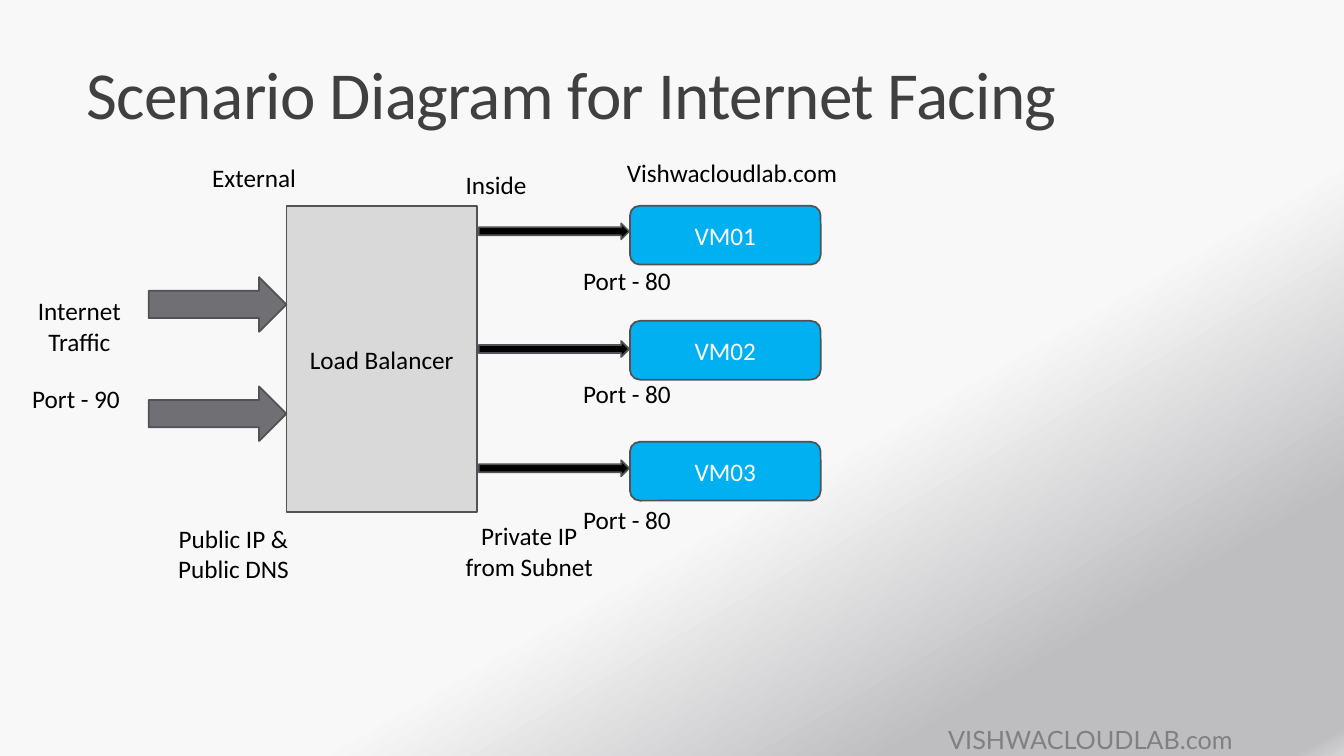
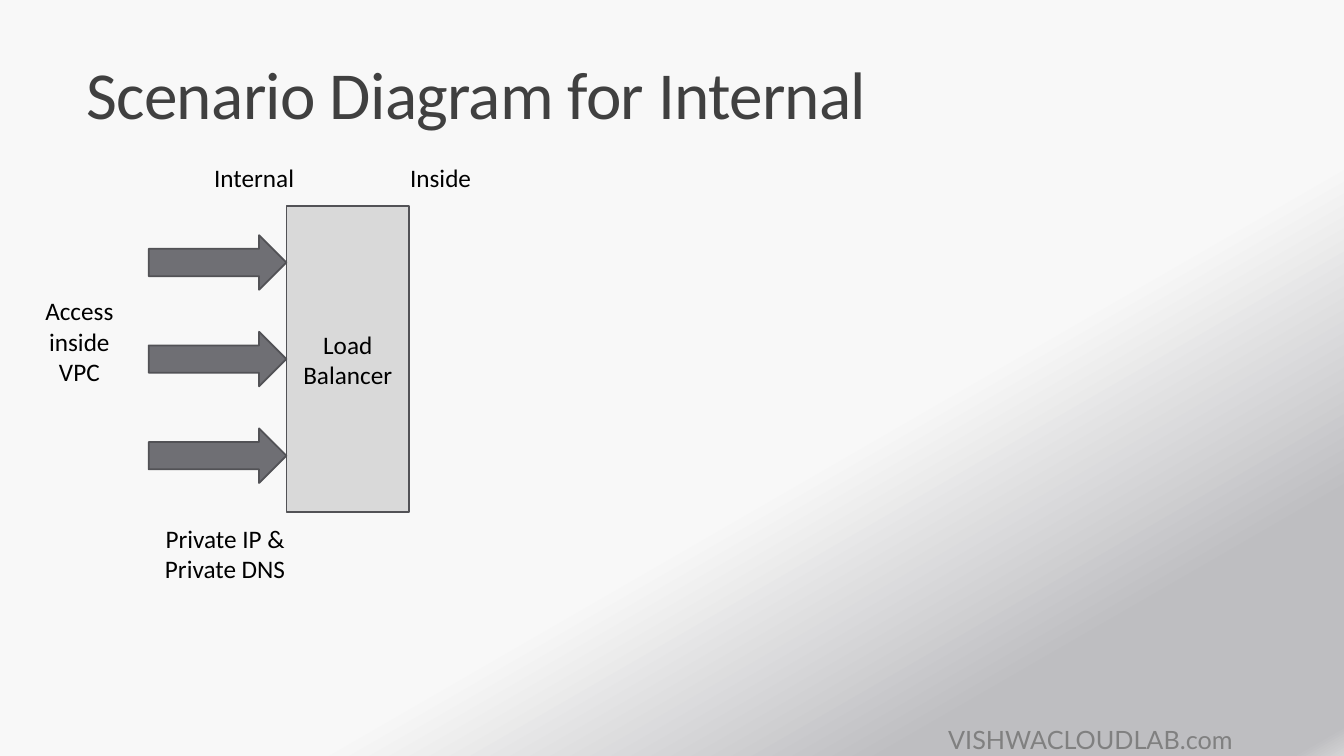
"""Build two load balancer scenario slides on a grid of 160 columns and 90 rows."""
from lxml.etree import SubElement
from pptx import Presentation
from pptx.dml.color import RGBColor
from pptx.enum.shapes import MSO_SHAPE
from pptx.enum.text import MSO_ANCHOR, PP_ALIGN
from pptx.oxml.ns import qn
from pptx.util import Inches, Pt

presentation = Presentation()
presentation.slide_width = Inches(13.33)
presentation.slide_height = Inches(7.5)
COLUMN = presentation.slide_width / 160
ROW = presentation.slide_height / 90

BALANCER_LEFT, BALANCER_TOP, BALANCER_HEIGHT = 34.1, 24.5, 36.5
BALANCER_MIDDLE = BALANCER_TOP + BALANCER_HEIGHT / 2
TRAFFIC_WIDTH, TRAFFIC_HEIGHT = 16.4, 6.5
LABEL_WIDTH, LABEL_HEIGHT = 13.7, 4.8
MACHINE_LEFT, MACHINE_WIDTH, MACHINE_HEIGHT = 75, 22.7, 7


def write(shape, text, color="000000", size=18, font="Calibri",
          align=PP_ALIGN.CENTER, anchor=MSO_ANCHOR.TOP):
    frame = shape.text_frame
    frame.word_wrap = True
    frame.vertical_anchor = anchor
    paragraph = frame.paragraphs[0]
    paragraph.alignment = align
    for index, line in enumerate(text.split("\n")):
        if index:
            paragraph.add_line_break()
        run = paragraph.add_run()
        run.text = line
        run.font.size = Pt(size)
        run.font.name = font
        run.font.color.rgb = RGBColor.from_string(color)
    return paragraph


def place(slide, left, top, width, height, kind=None, fill=None):
    box = [round(left * COLUMN), round(top * ROW), round(width * COLUMN), round(height * ROW)]
    if kind is None:
        return slide.shapes.add_textbox(*box)
    shape = slide.shapes.add_shape(kind, *box)
    shape.shadow.inherit = False
    shape.fill.solid()
    shape.fill.fore_color.rgb = RGBColor.from_string(fill)
    shape.line.color.rgb = RGBColor.from_string("525256")
    shape.line.width = Pt(1.25)
    return shape


background = presentation.slide_master.background.fill
background.gradient()
background.gradient_angle = 300
stops = background.gradient_stops[0]._gs.getparent()
for stop in list(stops):
    stops.remove(stop)
for percent, color in [(61, "F8F8F8"), (83, "BEBEC1"), (98, "BEBEC1"), (100, "D4D4D5")]:
    stop = SubElement(stops, qn("a:gs"), pos=str(percent * 1000))
    SubElement(stop, qn("a:srgbClr"), val=color)

scenarios = [
    {
        "title": "Scenario Diagram for Internet Facing",
        "balancer_width": 22.7,
        "traffic": (2, 13),
        "labels": [
            ("Internet Traffic", 2.6, 34.6, LABEL_WIDTH),
            ("Public IP &\nPublic DNS", 19.6, 61.7, 16.4),
            ("External", 23.4, 18.7, LABEL_WIDTH),
            ("Inside", 52.2, 19.6, LABEL_WIDTH),
            ("Private IP from Subnet", 53.8, 61.4, 18.4),
            ("Vishwacloudlab.com", 72.1, 18.1, 30.1),
            ("Port - 90", 2.2, 45, LABEL_WIDTH),
        ],
        "machines": [
            ("VM01", 24.5, 26.6, 31),
            ("VM02", 38.2, 40.6, 44.5),
            ("VM03", 52.6, 54.8, 59.4),
        ],
    },
    {
        "title": "Scenario Diagram for Internal",
        "balancer_width": 14.6,
        "traffic": (3, 11.5),
        "labels": [
            ("Access inside VPC", 2.6, 34.6, LABEL_WIDTH),
            ("Private IP &\nPrivate DNS", 17.6, 61.7, 18.4),
            ("Internal", 23.4, 18.7, LABEL_WIDTH),
            ("Inside", 45.6, 18.7, LABEL_WIDTH),
        ],
        "machines": [],
    },
]

for scenario in scenarios:
    slide = presentation.slides.add_slide(presentation.slide_layouts[6])
    footer = place(slide, 111.7, 85.6, 48, 4.4)
    write(footer, "VISHWACLOUDLAB.com", "808080", font="Lato", align=PP_ALIGN.LEFT)
    title = place(slide, 9.1, 3.7, 132, 12.7)
    paragraph = write(title, scenario["title"], "404040", 48,
                      align=PP_ALIGN.LEFT, anchor=MSO_ANCHOR.BOTTOM)
    paragraph.line_spacing = 0.85
    paragraph.runs[0].font._element.set("spc", "-50")

    balancer = place(slide, BALANCER_LEFT, BALANCER_TOP, scenario["balancer_width"],
                     BALANCER_HEIGHT, MSO_SHAPE.RECTANGLE, "D9D9D9")
    write(balancer, "Load Balancer", anchor=MSO_ANCHOR.MIDDLE)

    count, pitch = scenario["traffic"]
    for index in range(count):
        middle = BALANCER_MIDDLE + (index - (count - 1) / 2) * pitch
        place(slide, BALANCER_LEFT - TRAFFIC_WIDTH, middle - TRAFFIC_HEIGHT / 2,
              TRAFFIC_WIDTH, TRAFFIC_HEIGHT, MSO_SHAPE.RIGHT_ARROW, "6F6F74")

    for text, left, top, width in scenario["labels"]:
        write(place(slide, left, top, width, LABEL_HEIGHT), text)

    for name, machine_top, arrow_top, port_top in scenario["machines"]:
        machine = place(slide, MACHINE_LEFT, machine_top, MACHINE_WIDTH, MACHINE_HEIGHT,
                        MSO_SHAPE.ROUNDED_RECTANGLE, "00B0F0")
        write(machine, name, "FFFFFF", anchor=MSO_ANCHOR.MIDDLE)
        place(slide, 57, arrow_top, 17.9, 1.9, MSO_SHAPE.RIGHT_ARROW, "000000")
        write(place(slide, 67.8, port_top, LABEL_WIDTH, LABEL_HEIGHT), "Port - 80")

presentation.save("out.pptx")
